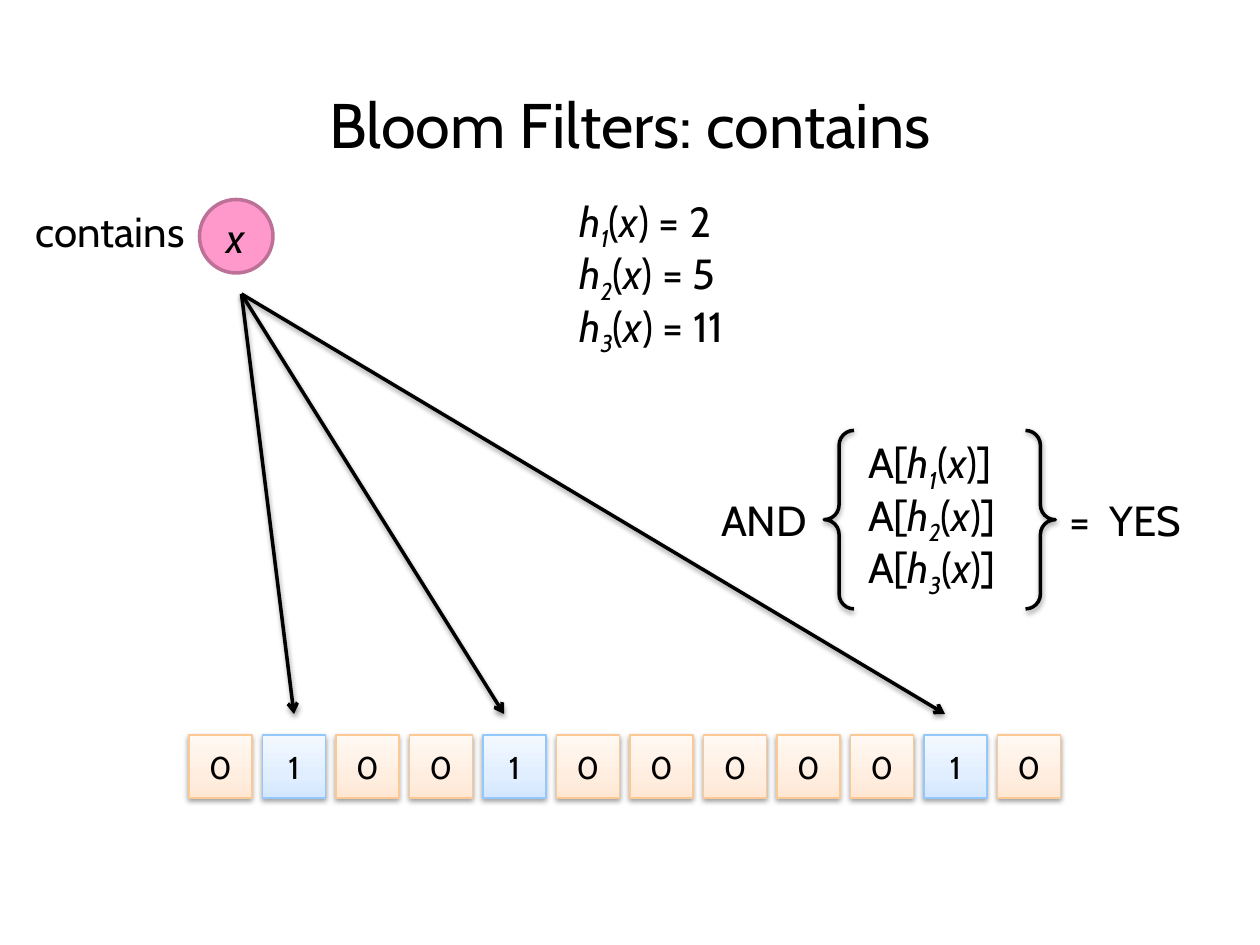
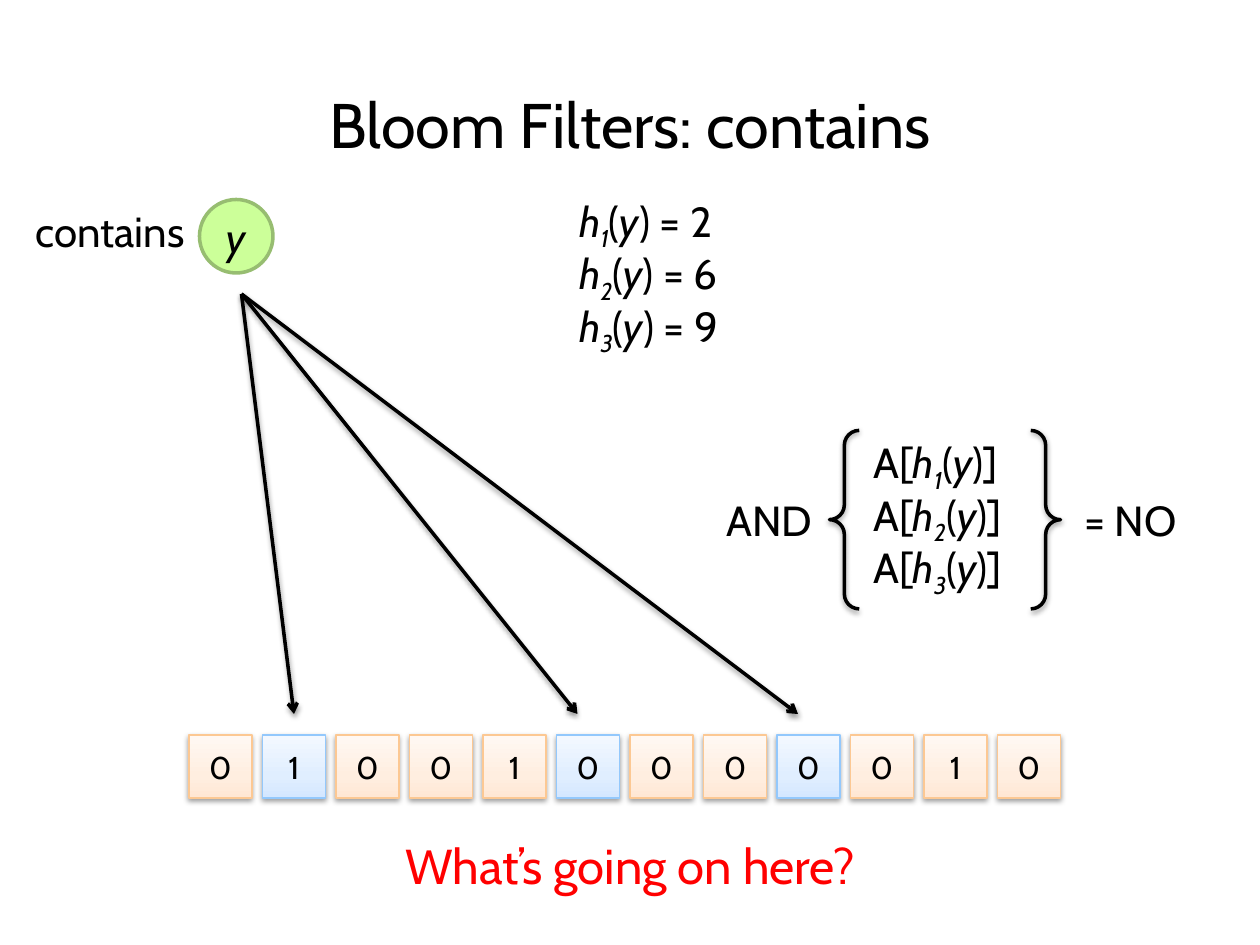
from copy import deepcopy

from pptx import Presentation, util as u
from pptx.dml.color import RGBColor
from pptx.enum import shapes, text
from pptx.oxml.ns import qn
from lxml import etree

BLACK = RGBColor(0x00, 0x00, 0x00)
RED = RGBColor(0xFF, 0x00, 0x00)
PINK = RGBColor(0xFF, 0x99, 0xCC)
PINK_EDGE = RGBColor(0xBD, 0x71, 0x97)
LIME = RGBColor(0xCC, 0xFF, 0x99)
LIME_EDGE = RGBColor(0x97, 0xBD, 0x71)
ORANGE_EDGE = RGBColor(0xFC, 0xC8, 0x93)
ORANGE_SHADES = [RGBColor(0xFF, 0xE7, 0xD4), RGBColor(0xFF, 0xEE, 0xE0), RGBColor(0xFF, 0xF8, 0xF3)]
BLUE_EDGE = RGBColor(0x93, 0xC8, 0xFC)
BLUE_SHADES = [RGBColor(0xD4, 0xE7, 0xFF), RGBColor(0xE0, 0xEE, 0xFF), RGBColor(0xF3, 0xF8, 0xFF)]
SHADE_POSITIONS = [0, 0.35, 1]

COLUMNS, ROWS = 120, 90
WIDTH, HEIGHT = u.Inches(10), u.Inches(7.5)
FONT = "Cabin"
BITS = "010010000010"
CELL_LEFT, CELL_TOP, CELL_SIDE, CELL_PITCH = 18, 70, 6, 7
LINE_PITCH = 5
ARROW_START = (23, 28)
ARROW_END_ROW = 68

PLAIN, ITALIC = {}, {"italic": True}
SUBSCRIPT = {"italic": True, "baseline": -25000}
CENTER = text.PP_ALIGN.CENTER
MIDDLE = text.MSO_ANCHOR.MIDDLE


def hash_call(number, key):
    return [("h", ITALIC), (str(number), SUBSCRIPT), ("(", PLAIN), (key, ITALIC)]


def add_shadow(element):
    properties = element.spPr
    for effects in properties.findall(qn("a:effectLst")):
        properties.remove(effects)
    effects = etree.SubElement(properties, qn("a:effectLst"))
    shadow = etree.SubElement(effects, qn("a:outerShdw"), blurRad=str(u.Pt(3.1)),
                              dist=str(u.Pt(1.6)), dir="5400000", rotWithShape="0")
    color = etree.SubElement(shadow, qn("a:srgbClr"), val=str(BLACK))
    etree.SubElement(color, qn("a:alpha"), val="38000")


class Deck:
    """Holds the presentation, its grid and style, and the slide being filled."""

    def __init__(self):
        self.presentation = Presentation()
        self.presentation.slide_width = WIDTH
        self.presentation.slide_height = HEIGHT

    def new_slide(self):
        blank = self.presentation.slide_layouts[6]
        self.shapes = self.presentation.slides.add_slide(blank).shapes

    def place(self, column, row):
        return round(WIDTH * column / COLUMNS), round(HEIGHT * row / ROWS)

    def box(self, left, top, width, height):
        return self.place(left, top) + self.place(width, height)

    def fill_text(self, frame, runs, size=24, color=BLACK, align=None, tabs=()):
        paragraph = frame.paragraphs[0]
        paragraph.alignment = align
        if tabs:
            tab_list = etree.SubElement(paragraph._p.get_or_add_pPr(), qn("a:tabLst"))
            for column in tabs:
                etree.SubElement(tab_list, qn("a:tab"), pos=str(self.place(column, 0)[0]), algn="l")
        for words, style in runs:
            run = paragraph.add_run()
            run.text = words
            look = {"name": FONT, "size": u.Pt(size), "italic": style.get("italic", False)}
            for name, value in look.items():
                setattr(run.font, name, value)
            run.font.color.rgb = color
            if "baseline" in style:
                run._r.get_or_add_rPr().set("baseline", str(style["baseline"]))

    def label(self, area, runs, anchor=text.MSO_ANCHOR.TOP, **style):
        frame = self.shapes.add_textbox(*self.box(*area)).text_frame
        for name, value in {"word_wrap": True, "vertical_anchor": anchor}.items():
            setattr(frame, name, value)
        self.fill_text(frame, runs, **style)

    def outline(self, kind, area, edge, weight):
        shape = self.shapes.add_shape(kind, *self.box(*area))
        shape.shadow.inherit = False
        shape.line.color.rgb = edge
        shape.line.width = u.Pt(weight)
        shape.text_frame.vertical_anchor = MIDDLE
        return shape

    def cell(self, index, bit, probed):
        area = (CELL_LEFT + index * CELL_PITCH, CELL_TOP, CELL_SIDE, CELL_SIDE)
        edge, shades = (BLUE_EDGE, BLUE_SHADES) if probed else (ORANGE_EDGE, ORANGE_SHADES)
        cell = self.outline(shapes.MSO_SHAPE.RECTANGLE, area, edge, 0.75)
        cell.fill.gradient()
        cell.fill.gradient_angle = 90
        stops = cell._element.spPr.find(".//" + qn("a:gsLst"))
        stops.append(deepcopy(stops[0]))
        for stop, shade, position in zip(cell.fill.gradient_stops, shades, SHADE_POSITIONS):
            stop.color.rgb = shade
            stop.position = position
        add_shadow(cell._element)
        self.fill_text(cell.text_frame, [(bit, PLAIN)], size=18, align=CENTER)

    def key_circle(self, key, fill, edge):
        circle = self.outline(shapes.MSO_SHAPE.OVAL, (19, 19, 7, 7), edge, 2)
        circle.fill.solid()
        circle.fill.fore_color.rgb = fill
        self.fill_text(circle.text_frame, [(key, ITALIC)], align=CENTER)

    def arrow(self, end_column):
        arrow = self.shapes.add_connector(shapes.MSO_CONNECTOR.STRAIGHT, *self.place(*ARROW_START),
                                          *self.place(end_column, ARROW_END_ROW))
        arrow.line.color.rgb = BLACK
        arrow.line.width = u.Pt(2)
        etree.SubElement(arrow.line._get_or_add_ln(), qn("a:tailEnd"), type="arrow")
        add_shadow(arrow._element)

    def conjunction(self, left, key, answer, tabs):
        """Group the AND over the three probed bits with its answer."""
        slide_shapes = self.shapes
        self.shapes = slide_shapes.add_group_shape().shapes
        self.label((left, 46.5, 47, 6), [("AND\t" + answer, PLAIN)], tabs=tabs)
        braces = self.outline(shapes.MSO_SHAPE.DOUBLE_BRACE, (left + 11, 41, 22, 17), BLACK, 2)
        braces.fill.background()
        add_shadow(braces._element)
        for line in range(3):
            self.label((left + 14, 41 + line * LINE_PITCH, 19, 6),
                       [("A[", PLAIN), *hash_call(line + 1, key), (")]", PLAIN)])
        self.shapes = slide_shapes

    def title(self, words):
        self.label((0, 7.2, COLUMNS, 9), [(words, PLAIN)], anchor=MIDDLE, size=36, align=CENTER)


def contains_slide(deck, key, fill, edge, hashes, conjunction, question=None):
    deck.new_slide()
    for index, bit in enumerate(BITS):
        deck.cell(index, bit, index + 1 in hashes)
    deck.key_circle(key, fill, edge)
    deck.label((2, 19, 17, 6), [("contains", PLAIN)], align=CENTER)
    for line, value in enumerate(hashes):
        deck.label((54, 18 + line * LINE_PITCH, 19, 6),
                   [*hash_call(line + 1, key), (f") = {value}", PLAIN)])
    for line, value in enumerate(hashes):
        inset = CELL_SIDE / 2 if line == 0 else CELL_SIDE / 3
        deck.arrow(CELL_LEFT + (value - 1) * CELL_PITCH + inset)
    if question:
        deck.label((0, 79, COLUMNS, 7), [(question, PLAIN)], size=28, color=RED, align=CENTER)
    deck.conjunction(key=key, **conjunction)
    deck.title("Bloom Filters: contains")


def main():
    deck = Deck()
    contains_slide(deck, "x", PINK, PINK_EDGE, [2, 5, 11],
                   {"left": 67.5, "answer": "=\tYES", "tabs": [33.2, 37]})
    contains_slide(deck, "y", LIME, LIME_EDGE, [2, 6, 9],
                   {"left": 68, "answer": "= NO", "tabs": [34.1]},
                   question="What’s going on here?")
    deck.presentation.save("out.pptx")


if __name__ == "__main__":
    main()
